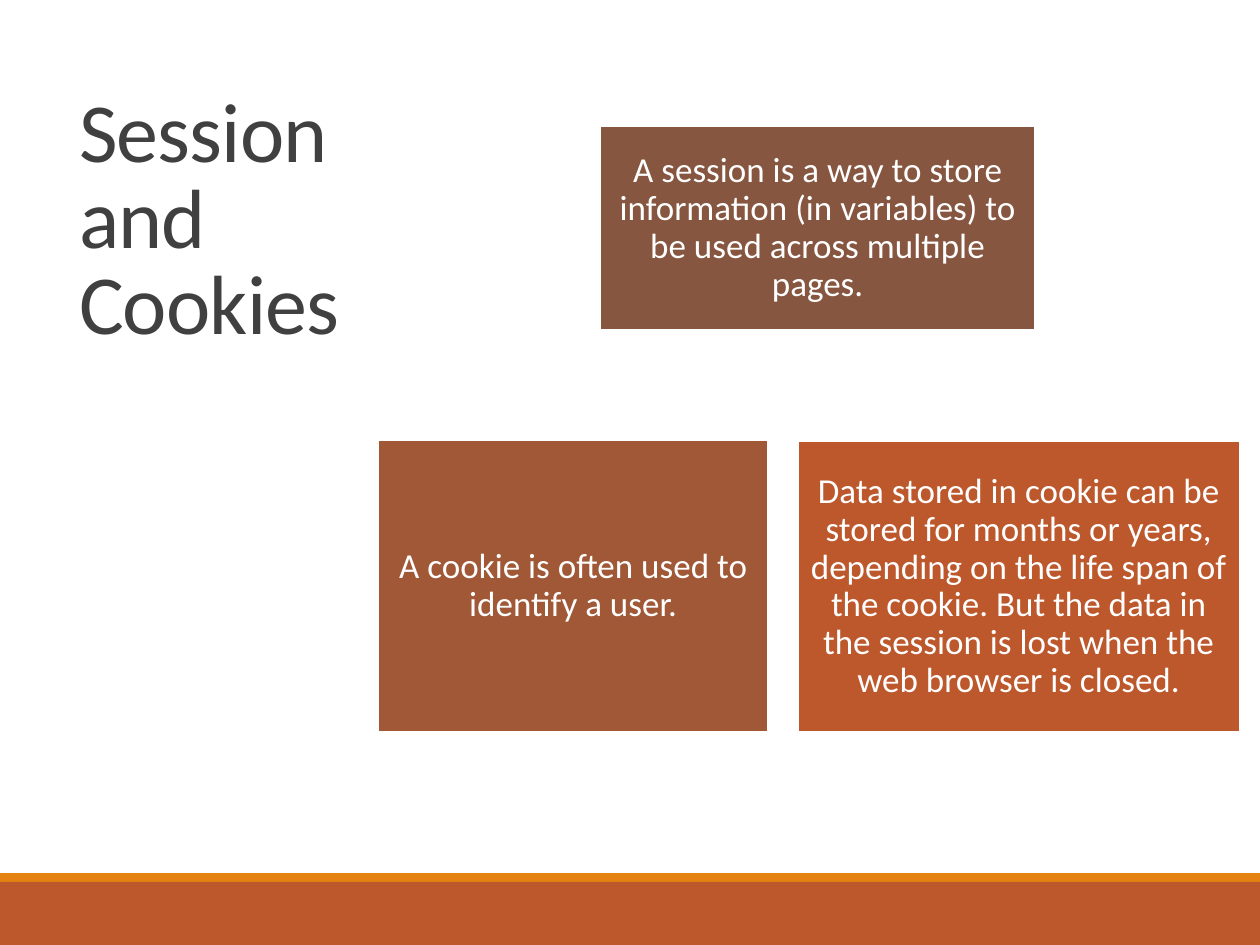
"""Build the Session and Cookies slide."""
from pptx import Presentation
from pptx.dml.color import RGBColor
from pptx.enum import shapes, text
from pptx.util import Inches, Pt

WHITE = RGBColor(0xFF, 0xFF, 0xFF)
CHARCOAL = RGBColor(0x40, 0x40, 0x40)
AMBER = RGBColor(0xE4, 0x83, 0x12)
RUST = RGBColor(0xBD, 0x58, 0x2C)
SIENNA = RGBColor(0xA0, 0x58, 0x37)
BROWN = RGBColor(0x86, 0x56, 0x40)

TITLE = ("Session and Cookies", (0.53, 0.7, 2.8, 5.72))
BANDS = [(AMBER, 6.93, 0.07), (RUST, 7, 0.5)]
CARDS = [
    ("Data stored in cookie can be stored for months or years, depending on "
     "the life span of the cookie. But the data in the session is lost when "
     "the web browser is closed.", RUST, (6.33, 3.5, 3.51, 2.31)),
    ("A cookie is often used to identify a user.",
     SIENNA, (3, 3.49, 3.1, 2.32)),
    ("A session is a way to store information (in variables) to be used "
     "across multiple pages.", BROWN, (4.76, 1, 3.46, 1.62)),
]


def add_block(slide, box, color):
    block = slide.shapes.add_shape(
        shapes.MSO_SHAPE.RECTANGLE, *map(Inches, box))
    block.shadow.inherit = False
    block.fill.solid()
    block.fill.fore_color.rgb = color
    block.line.fill.background()
    return block


def write(holder, words, *, size, color, align, anchor, leading,
          inset=(0.1, 0.05), tracking=0):
    frame = holder.text_frame
    frame.word_wrap = True
    frame.vertical_anchor = anchor
    frame.margin_left = frame.margin_right = Inches(inset[0])
    frame.margin_top = frame.margin_bottom = Inches(inset[1])
    paragraph = frame.paragraphs[0]
    paragraph.alignment = align
    paragraph.line_spacing = leading
    run = paragraph.add_run()
    run.text = words
    run.font.name = "Calibri"
    run.font.size = Pt(size)
    run.font.color.rgb = color
    if tracking:
        run._r.get_or_add_rPr().set("spc", str(int(tracking * 100)))


def main():
    deck = Presentation()
    deck.slide_width, deck.slide_height = Inches(10), Inches(7.5)
    slide = deck.slides.add_slide(deck.slide_layouts[6])
    slide.background.fill.solid()
    slide.background.fill.fore_color.rgb = WHITE

    words, box = TITLE
    title = slide.shapes.add_textbox(*map(Inches, box))
    write(title, words, size=48, color=CHARCOAL, align=text.PP_ALIGN.LEFT,
          anchor=text.MSO_ANCHOR.TOP, leading=0.85, tracking=-0.5)

    for color, top, height in BANDS:
        add_block(slide, (0, top, 10, height), color)

    for words, color, box in CARDS:
        card = add_block(slide, box, color)
        card.line.color.rgb = WHITE
        card.line.width = Pt(1.25)
        write(card, words, size=20, color=WHITE, align=text.PP_ALIGN.CENTER,
              anchor=text.MSO_ANCHOR.MIDDLE, leading=0.9, inset=(0.08, 0.08))

    deck.save("out.pptx")


if __name__ == "__main__":
    main()
